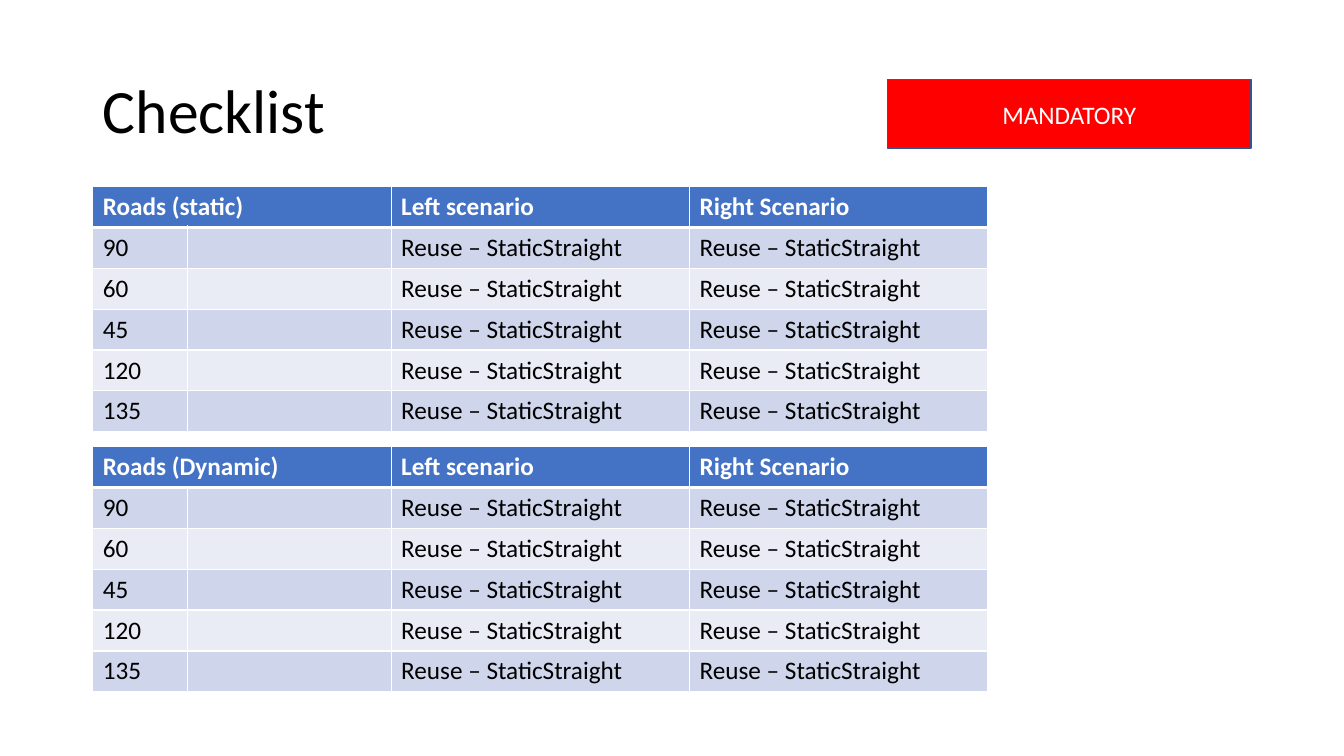
"""Build the checklist slide with its two road tables and mandatory badge."""
from dataclasses import dataclass

from lxml import etree
from pptx import Presentation
from pptx.dml.color import RGBColor
from pptx.enum.shapes import MSO_SHAPE
from pptx.enum.text import MSO_ANCHOR, PP_ALIGN
from pptx.oxml.ns import qn
from pptx.slide import Slide
from pptx.table import _Cell
from pptx.text.text import TextFrame
from pptx.util import Inches, Pt

RECTANGLE = MSO_SHAPE.RECTANGLE
MIDDLE = MSO_ANCHOR.MIDDLE
LEFT, CENTER = PP_ALIGN.LEFT, PP_ALIGN.CENTER
TITLE_ONLY = 5

COLORS = {
    "text": "000000",
    "white": "FFFFFF",
    "header": "4472C4",
    "odd_row": "CFD5EA",
    "even_row": "E9EBF5",
    "badge": "FF0000",
    "badge_line": "325491",
}
TITLE_FONT = {"name": "Calibri", "size": Pt(44)}
BODY_FONT = {"name": "Calibri", "size": Pt(18), "bold": False}
HEADER_FONT = BODY_FONT | {"bold": True}

ANGLES = ("90", "60", "45", "120", "135")
SCENARIO = "Reuse – StaticStraight"
COLUMN_WIDTHS = (0.94, 2.02, 2.96, 2.96)
ROW_HEIGHT = 0.405
TABLE_LEFT = 0.92


@dataclass(frozen=True)
class RoadTable:
    """A table of road angles and its top edge in inches."""

    heading: str
    top: float


STATIC_ROADS = RoadTable("Roads (static)", 1.85)
DYNAMIC_ROADS = RoadTable("Roads (Dynamic)", 4.43)


def rgb(name: str) -> RGBColor:
    """Return the named colour."""
    return RGBColor.from_string(COLORS[name])


def write_text(frame: TextFrame, text: str, font: dict, color: str,
               alignment: PP_ALIGN = LEFT) -> None:
    """Write one formatted paragraph."""
    paragraph = frame.paragraphs[0]
    paragraph.alignment = alignment
    run = paragraph.add_run()
    run.text = text
    for name, value in font.items():
        setattr(run.font, name, value)
    run.font.color.rgb = rgb(color)


def add_borders(cell: _Cell, widths: dict[str, float]) -> None:
    """Give each named side of a cell a white border of its width in points."""
    properties = cell._tc.get_or_add_tcPr()
    for side, width in widths.items():
        line = etree.SubElement(properties, qn(f"a:ln{side}"), w=str(Pt(width)))
        fill = etree.SubElement(line, qn("a:solidFill"))
        etree.SubElement(fill, qn("a:srgbClr"), val=COLORS["white"])


def add_title(slide: Slide) -> None:
    """Place and format the slide title."""
    title = slide.shapes.title
    bounds = {"left": 0.92, "top": 0.4, "width": 11.5, "height": 1.45}
    for name, value in bounds.items():
        setattr(title, name, Inches(value))
    title.text_frame.vertical_anchor = MIDDLE
    write_text(title.text_frame, "Checklist", TITLE_FONT, "text")
    title.text_frame.paragraphs[0].line_spacing = 0.9


def add_badge(slide: Slide) -> None:
    """Draw the mandatory badge."""
    badge = slide.shapes.add_shape(
        RECTANGLE, Inches(8.8), Inches(0.79), Inches(3.61), Inches(0.68))
    badge.shadow.inherit = False
    badge.fill.solid()
    badge.fill.fore_color.rgb = rgb("badge")
    badge.line.color.rgb = rgb("badge_line")
    badge.line.width = Pt(1)
    badge.text_frame.vertical_anchor = MIDDLE
    write_text(badge.text_frame, "MANDATORY", BODY_FONT, "white", CENTER)


def add_road_table(slide: Slide, roads: RoadTable) -> None:
    """Draw a road table with a header and banded rows."""
    rows = [(roads.heading, "", "Left scenario", "Right Scenario")]
    rows += [(angle, "", SCENARIO, SCENARIO) for angle in ANGLES]
    table = slide.shapes.add_table(
        len(rows), len(COLUMN_WIDTHS), Inches(TABLE_LEFT), Inches(roads.top),
        Inches(sum(COLUMN_WIDTHS)), Inches(ROW_HEIGHT * len(rows))).table
    for column, width in zip(table.columns, COLUMN_WIDTHS):
        column.width = Inches(width)
    for row_index, texts in enumerate(rows):
        table.rows[row_index].height = Inches(ROW_HEIGHT)
        is_header = row_index == 0
        band = "odd_row" if row_index % 2 else "even_row"
        borders = {"L": 1, "R": 1, "T": 3 if row_index == 1 else 1,
                   "B": 3 if is_header else 1}
        for column_index, text in enumerate(texts):
            cell = table.cell(row_index, column_index)
            add_borders(cell, borders)
            cell.fill.solid()
            cell.fill.fore_color.rgb = rgb("header" if is_header else band)
            if text:
                write_text(cell.text_frame, text,
                           HEADER_FONT if is_header else BODY_FONT,
                           "white" if is_header else "text")
    table.cell(0, 0).merge(table.cell(0, 1))


def main() -> None:
    """Build and save the presentation."""
    presentation = Presentation()
    presentation.slide_width = Inches(13.33)
    presentation.slide_height = Inches(7.5)
    slide = presentation.slides.add_slide(presentation.slide_layouts[TITLE_ONLY])
    add_title(slide)
    add_road_table(slide, STATIC_ROADS)
    add_badge(slide)
    add_road_table(slide, DYNAMIC_ROADS)
    presentation.save("out.pptx")


if __name__ == "__main__":
    main()
